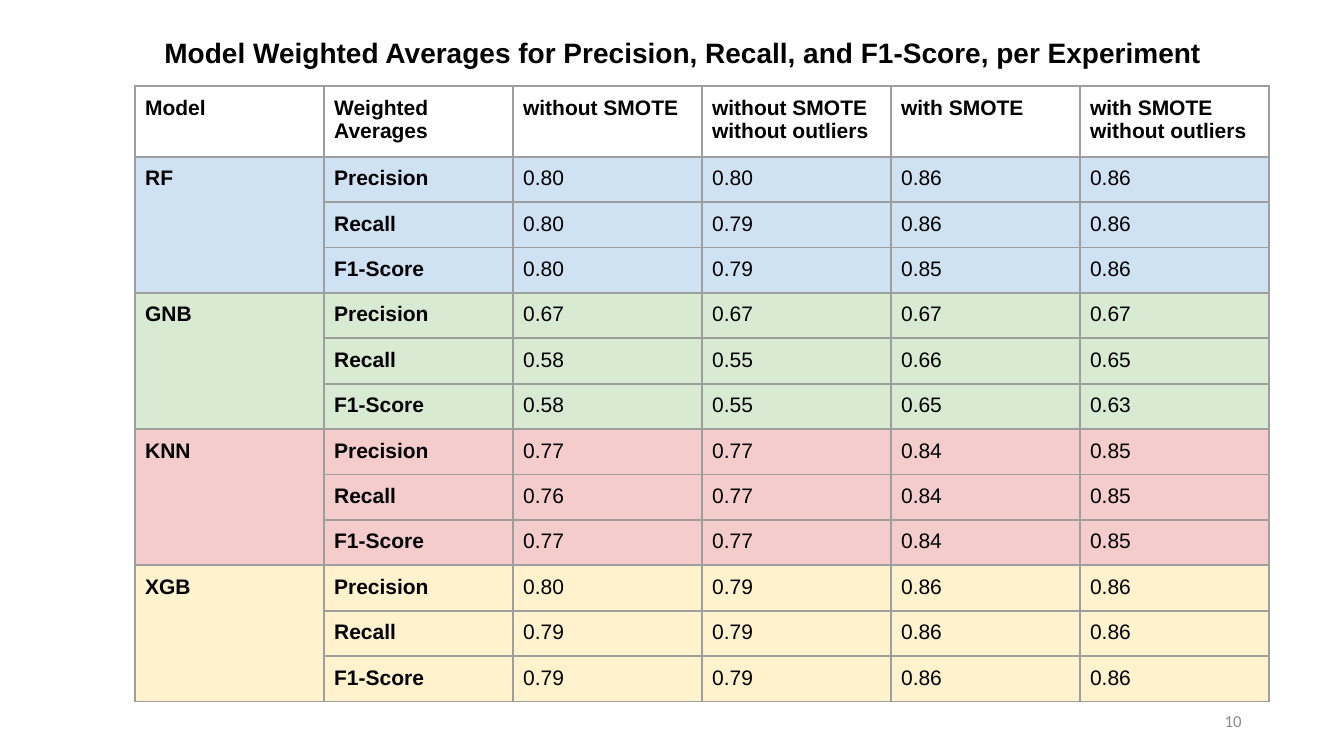
from lxml import etree
from pptx import Presentation
from pptx.dml.color import RGBColor
from pptx.enum.text import MSO_ANCHOR, MSO_AUTO_SIZE, PP_ALIGN
from pptx.oxml.ns import qn
from pptx.util import Pt

LEFT, RIGHT = PP_ALIGN.LEFT, PP_ALIGN.RIGHT
TOP, MID = MSO_ANCHOR.TOP, MSO_ANCHOR.MIDDLE
FIXED = MSO_AUTO_SIZE.NONE

HUES = {
    "text": "000000", "page": "8B8B8B", "rule": "9E9E9E",
    "RF": "CFE2F3", "GNB": "D9EAD3", "KNN": "F4CCCC", "XGB": "FFF2CC",
}
HEADS = ["Model", "Weighted Averages", "without SMOTE",
         "without SMOTE without outliers", "with SMOTE",
         "with SMOTE\nwithout outliers"]
STATS = ["Precision", "Recall", "F1-Score"]
SCORES = {
    "RF": [(0.80, 0.80, 0.86, 0.86), (0.80, 0.79, 0.86, 0.86), (0.80, 0.79, 0.85, 0.86)],
    "GNB": [(0.67, 0.67, 0.67, 0.67), (0.58, 0.55, 0.66, 0.65), (0.58, 0.55, 0.65, 0.63)],
    "KNN": [(0.77, 0.77, 0.84, 0.85), (0.76, 0.77, 0.84, 0.85), (0.77, 0.77, 0.84, 0.85)],
    "XGB": [(0.80, 0.79, 0.86, 0.86), (0.79, 0.79, 0.86, 0.86), (0.79, 0.79, 0.86, 0.86)],
}


def write(frame, text, size=15, font="Arial", hue="text", bold=False, align=LEFT):
    """Fill a text frame with text in one format."""
    frame.text = text
    frame.word_wrap = True
    for para in frame.paragraphs:
        para.alignment = align
        for run in para.runs:
            run.font.size = Pt(size)
            run.font.name = font
            run.font.bold = bold
            run.font.color.rgb = RGBColor.from_string(HUES[hue])


def place(shape, box):
    """Move a shape to a box given in points."""
    shape.left, shape.top, shape.width, shape.height = map(Pt, box)


def pad(item, size):
    """Set equal insets on a cell or a text frame."""
    item.margin_left = item.margin_right = Pt(size)
    item.margin_top = item.margin_bottom = Pt(size)


def rule(cell, width=1.5):
    """Draw the four borders of a cell."""
    props = cell._tc.get_or_add_tcPr()
    for side in ("lnL", "lnR", "lnT", "lnB"):
        line = etree.SubElement(props, qn(f"a:{side}"), w=str(Pt(width)))
        fill = etree.SubElement(line, qn("a:solidFill"))
        etree.SubElement(fill, qn("a:srgbClr"), val=HUES["rule"])


def style(cell, text, bold, hue=None):
    """Give a cell its borders, fill and text."""
    rule(cell)
    pad(cell, 7.2)
    cell.vertical_anchor = TOP
    if hue:
        cell.fill.solid()
        cell.fill.fore_color.rgb = RGBColor.from_string(HUES[hue])
    else:
        cell.fill.background()
    write(cell.text_frame, text, bold=bold)


def title(slide, box):
    """Place the slide title."""
    shape = slide.shapes.title
    place(shape, box)
    frame = shape.text_frame
    write(frame, "Model Weighted Averages for Precision, Recall, and F1-Score, per Experiment",
          size=20, bold=True)
    pad(frame, 7.2)
    frame.vertical_anchor = TOP
    frame.auto_size = FIXED


def grid(slide, box, head=48):
    """Place the score table with one tinted block per model."""
    count = len(STATS)
    rows = 1 + count * len(SCORES)
    table = slide.shapes.add_table(rows, len(HEADS), *map(Pt, box)).table
    table.first_row = table.horz_banding = False
    for col in table.columns:
        col.width = Pt(box[2] / len(HEADS))
    for row in table.rows:
        row.height = Pt((box[3] - head) / (rows - 1))
    table.rows[0].height = Pt(head)
    for col, text in enumerate(HEADS):
        style(table.cell(0, col), text, True)
    for block, (model, lines) in enumerate(SCORES.items()):
        first = 1 + block * count
        for step, (stat, vals) in enumerate(zip(STATS, lines)):
            texts = ["" if step else model, stat, *(f"{val:.2f}" for val in vals)]
            for col, text in enumerate(texts):
                style(table.cell(first + step, col), text, col < 2, model)
        table.cell(first, 0).merge(table.cell(first + count - 1, 0))


def page(slide, box):
    """Place the page number."""
    frame = slide.shapes.add_textbox(*map(Pt, box)).text_frame
    write(frame, "10", size=12, font="Calibri", hue="page", align=RIGHT)
    frame.vertical_anchor = MID


def main():
    """Build and save the slide."""
    deck = Presentation()
    deck.slide_width, deck.slide_height = Pt(960), Pt(540)
    slide = deck.slides.add_slide(deck.slide_layouts[5])
    page(slide, (678, 500.5, 216, 28.75))
    grid(slide, (96.5, 61.5, 810, 420))
    title(slide, (110.2, 18, 782, 39))
    deck.save("out.pptx")


if __name__ == "__main__":
    main()
